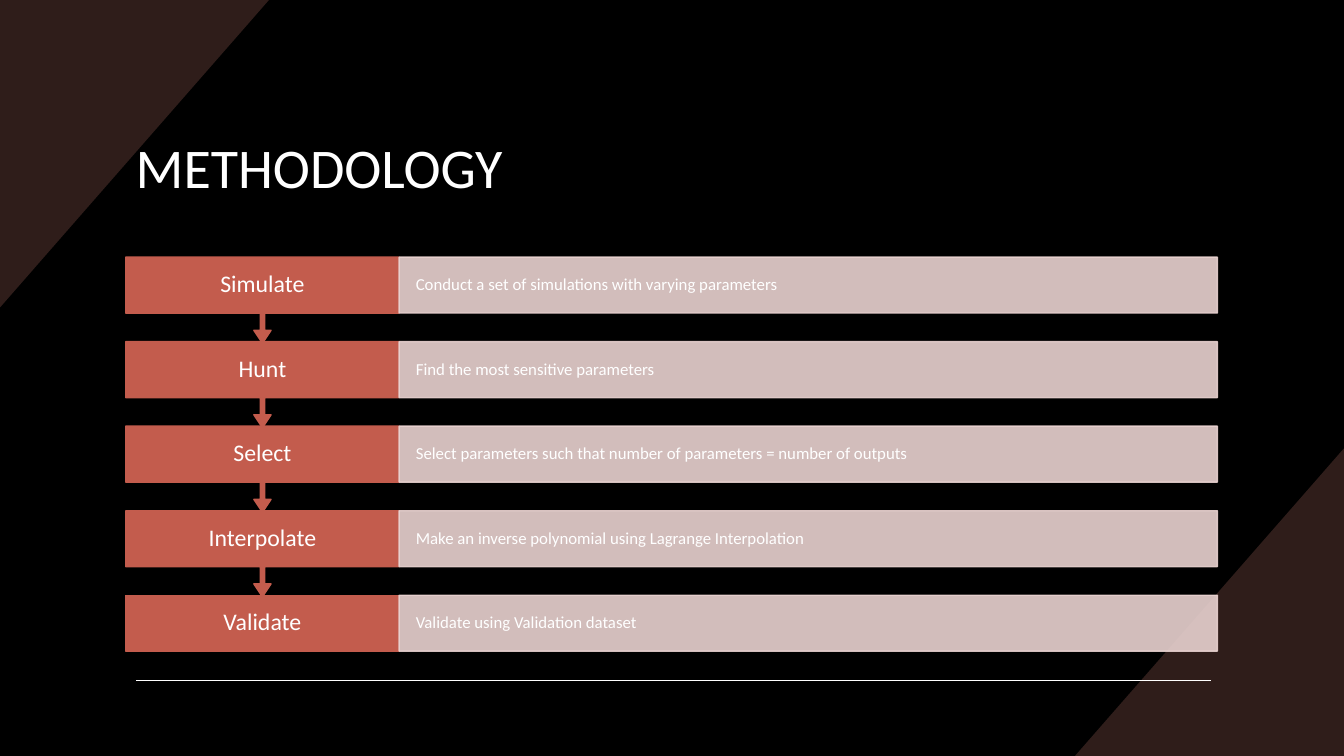
from pptx import Presentation, util as u
from pptx.dml.color import RGBColor
from pptx.enum import shapes, text
from pptx.oxml.ns import qn
from lxml import etree

# Content
TITLE = "METHODOLOGY"
STEPS = [
    ("Simulate", "Conduct a set of simulations with varying parameters"),
    ("Hunt", "Find the most sensitive parameters"),
    ("Select", "Select parameters such that number of parameters = number of outputs"),
    ("Interpolate", "Make an inverse polynomial using Lagrange Interpolation"),
    ("Validate", "Validate using Validation dataset"),
]

# Colours and measures in centimetres
FONT = "Calibri"
BLACK, WHITE, BROWN, RED, PINK = "000000", "FFFFFF", "2F1D1A", "C35C4D", "E9D2D0"
WIDTH, HEIGHT = 33.87, 19.05
CORNER_WIDTH, CORNER_HEIGHT = 6.78, 7.75
LEFT, TOP, PITCH = 3.17, 6.48, 2.13
NAME_WIDTH, DETAIL_WIDTH = 6.89, 20.62
BOX_HEIGHT, CALLOUT_HEIGHT = 1.41, 2.17
CALLOUT_ADJUSTMENTS = (0.05, 0.1, 0.15, 0.65)


def color(value):
    return RGBColor.from_string(value)


def write(shape, content, size, align, inset):
    frame = shape.text_frame
    frame.word_wrap = True
    frame.vertical_anchor = text.MSO_ANCHOR.MIDDLE
    frame.margin_left = frame.margin_right = u.Cm(inset)
    frame.margin_top = frame.margin_bottom = 0
    paragraph = frame.paragraphs[0]
    paragraph.alignment = align
    paragraph.line_spacing = 0.9
    run = paragraph.add_run()
    run.text = content
    run.font.name = FONT
    run.font.size = u.Pt(size)
    run.font.color.rgb = color(WHITE)


def paint(shape, value, opacity=100):
    shape.shadow.inherit = False
    shape.fill.solid()
    shape.fill.fore_color.rgb = color(value)
    shape.line.color.rgb = color(value)
    shape.line.width = u.Pt(1)
    if opacity < 100:
        for fill in shape.element.spPr.iter(qn("a:srgbClr")):
            etree.SubElement(fill, qn("a:alpha"), val=str(opacity * 1000))


def add_box(slide, kind, left, top, width, height):
    return slide.shapes.add_shape(kind, u.Cm(left), u.Cm(top), u.Cm(width), u.Cm(height))


def add_corner(slide, x, y, direction):
    """Triangle with its right angle at (x, y); direction 1 points into the slide."""
    points = [(x, y + direction * CORNER_HEIGHT), (x + direction * CORNER_WIDTH, y)]
    builder = slide.shapes.build_freeform(u.Cm(x), u.Cm(y))
    builder.add_line_segments([(u.Cm(a), u.Cm(b)) for a, b in points], close=True)
    corner = builder.convert_to_shape()
    paint(corner, BROWN)
    corner.line.fill.background()


def add_step(slide, index, name, detail):
    top = TOP + index * PITCH
    if index == len(STEPS) - 1:
        box = add_box(slide, shapes.MSO_SHAPE.RECTANGLE, LEFT, top, NAME_WIDTH, BOX_HEIGHT)
    else:
        box = add_box(slide, shapes.MSO_SHAPE.DOWN_ARROW_CALLOUT,
                      LEFT, top, NAME_WIDTH, CALLOUT_HEIGHT)
        for position, value in enumerate(CALLOUT_ADJUSTMENTS):
            box.adjustments[position] = value
    paint(box, RED)
    write(box, name, size=17, align=text.PP_ALIGN.CENTER, inset=0.48)

    bar = add_box(slide, shapes.MSO_SHAPE.RECTANGLE,
                  LEFT + NAME_WIDTH, top, DETAIL_WIDTH, BOX_HEIGHT)
    paint(bar, PINK, opacity=90)
    write(bar, detail, size=12, align=text.PP_ALIGN.LEFT, inset=0.42)


def main():
    presentation = Presentation()
    presentation.slide_width, presentation.slide_height = u.Cm(WIDTH), u.Cm(HEIGHT)
    slide = presentation.slides.add_slide(presentation.slide_layouts[5])
    slide.background.fill.solid()
    slide.background.fill.fore_color.rgb = color(BLACK)

    # Corner triangles and footer rule
    add_corner(slide, WIDTH, HEIGHT, -1)
    add_corner(slide, 0, 0, 1)
    rule = slide.shapes.add_connector(shapes.MSO_CONNECTOR.STRAIGHT,
                                      u.Cm(3.43), u.Cm(17.15), u.Cm(30.53), u.Cm(17.15))
    rule.line.color.rgb = color(WHITE)
    rule.line.width = u.Pt(1)
    etree.SubElement(rule.element.spPr, qn("a:effectLst"))

    # Title, in front of the decoration
    title = slide.shapes.title
    title.left, title.top = u.Cm(LEFT), u.Cm(2.41)
    title.width, title.height = u.Cm(NAME_WIDTH + DETAIL_WIDTH), u.Cm(3.78)
    write(title, TITLE, size=40, align=text.PP_ALIGN.LEFT, inset=0.25)
    title.element.getparent().append(title.element)

    # Steps from the bottom up, so each arrow tip lies over the next box
    for index, (name, detail) in reversed(list(enumerate(STEPS))):
        add_step(slide, index, name, detail)

    presentation.save("out.pptx")


if __name__ == "__main__":
    main()
